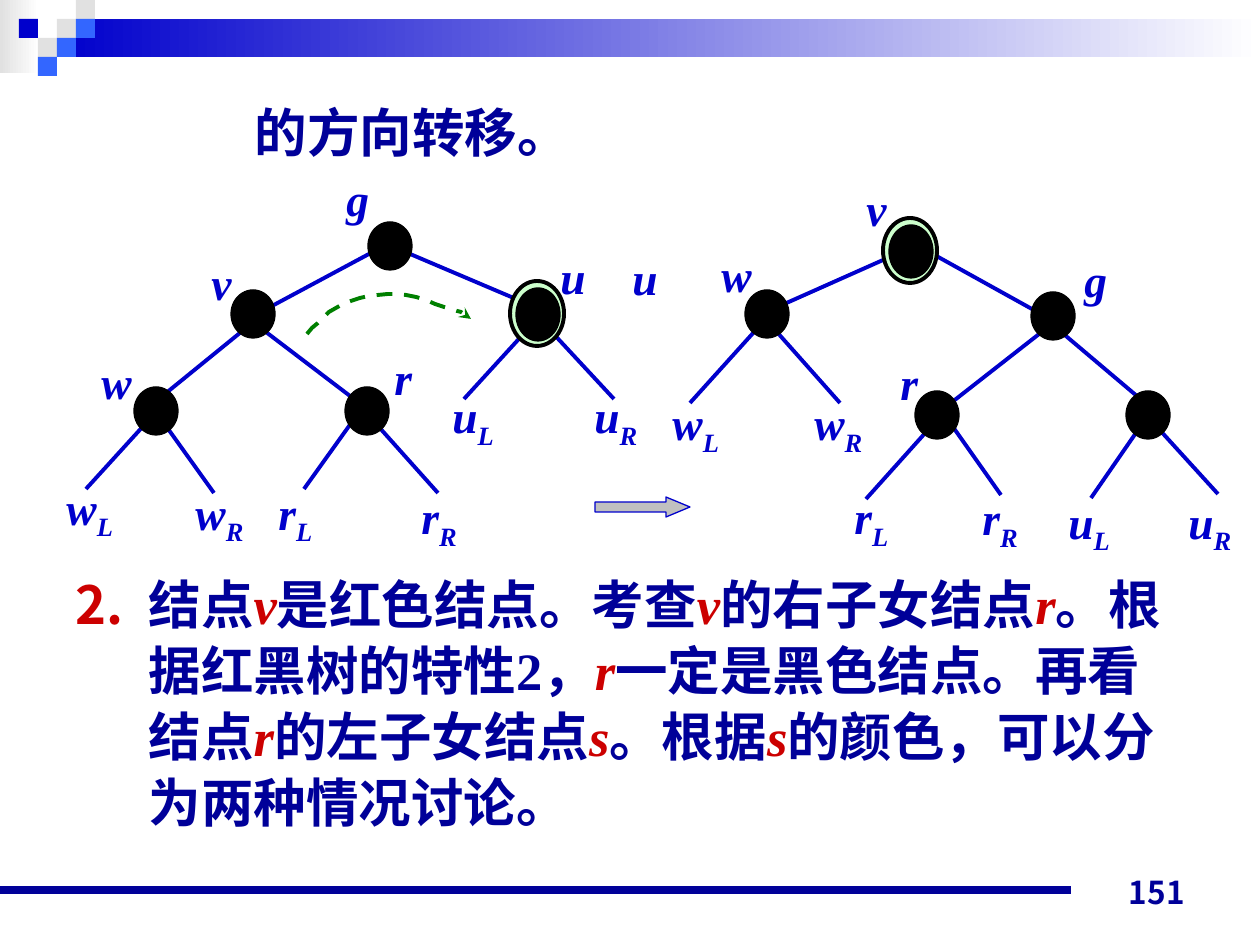
from typing import NamedTuple

from lxml import etree
from pptx import Presentation
from pptx import util as u
from pptx.dml.color import RGBColor
from pptx.enum import dml, shapes, text
from pptx.oxml import ns

SCALE = 914400 / 126  # EMU per px
NAVY = RGBColor(0x00, 0x00, 0x99)
BLUE = RGBColor(0x00, 0x00, 0xCC)
SKY = RGBColor(0x33, 0x66, 0xFF)
GREY = RGBColor(0xE1, 0xE1, 0xE1)
SILVER = RGBColor(0xC0, 0xC0, 0xC0)
WHITE = RGBColor(0xFF, 0xFF, 0xFF)
BLACK = RGBColor(0x00, 0x00, 0x00)
MINT = RGBColor(0xCC, 0xFF, 0xCC)
RED = RGBColor(0xCC, 0x00, 0x00)
GREEN = RGBColor(0x00, 0x80, 0x00)
SERIF, SANS = "Times New Roman", "Noto Sans CJK JP"


class Label(NamedTuple):
    x: int
    y: int
    letter: str
    subscript: str = ""


class Edge(NamedTuple):
    x1: int
    y1: int
    x2: int
    y2: int


class Tree(NamedTuple):
    nodes: list[tuple[int, int]]
    ringed_node: tuple[int, int]
    edges: list[Edge]
    labels: list[Label]


BEFORE = Tree(
    nodes=[(368, 222), (231, 290), (345, 387), (134, 387)],
    ringed_node=(510, 281),
    edges=[
        Edge(403, 251, 523, 302), Edge(528, 329, 464, 399), Edge(549, 329, 614, 399),
        Edge(378, 426, 438, 493), Edge(262, 329, 354, 399), Edge(382, 247, 272, 306),
        Edge(246, 328, 160, 398), Edge(352, 422, 304, 489), Edge(166, 426, 214, 493),
        Edge(147, 422, 86, 489),
    ],
    labels=[
        Label(334, 165, "g"), Label(199, 249, "v"), Label(548, 243, "u"),
        Label(89, 348, "w"), Label(382, 344, "r"),
        Label(440, 382, "u", "L"), Label(582, 382, "u", "R"),
        Label(54, 474, "w", "L"), Label(183, 479, "w", "R"),
        Label(266, 479, "r", "L"), Label(409, 483, "r", "R"),
    ],
)
AFTER = Tree(
    nodes=[(745, 290), (1031, 292), (915, 391), (1126, 391)],
    ringed_node=(883, 218),
    edges=[
        Edge(901, 252, 782, 305), Edge(776, 331, 840, 403), Edge(755, 331, 690, 403),
        Edge(927, 431, 866, 499), Edge(1043, 331, 951, 403), Edge(922, 248, 1032, 309),
        Edge(1060, 331, 1144, 402), Edge(953, 427, 1001, 495), Edge(1138, 430, 1091, 498),
        Edge(1157, 427, 1218, 494),
    ],
    labels=[
        Label(1072, 246, "g"), Label(854, 175, "v"), Label(620, 244, "u"),
        Label(709, 241, "w"), Label(888, 349, "r"),
        Label(660, 389, "w", "L"), Label(802, 389, "w", "R"),
        Label(842, 483, "r", "L"), Label(970, 484, "r", "R"),
        Label(1056, 488, "u", "L"), Label(1176, 488, "u", "R"),
    ],
)
# Column, row and colour of each 19 px square in the corner ornament
SQUARES = [(3, 1, GREY), (4, 0, GREY), (4, 1, SKY), (2, 2, GREY),
           (1, 1, BLUE), (3, 2, SKY), (2, 3, SKY)]
# Control points of joined cubic curves
ROTATION_CURVE = [(307, 334), (318, 323), (328, 310), (343, 304), (358, 297),
                  (379, 294), (397, 294), (415, 295), (438, 305), (451, 309),
                  (464, 312), (467, 317), (471, 319)]
# Asterisks enclose node names
CASE_TEXT = ("结点*v*是红色结点。考查*v*的右子女结点*r*。根据红黑树的特性2，*r*一定是黑色结点。"
             "再看结点*r*的左子女结点*s*。根据*s*的颜色，可以分为两种情况讨论。")


def px(*lengths: int) -> list[u.Emu]:
    return [u.Emu(round(length * SCALE)) for length in lengths]


def set_font(font, name: str, size: int, color: RGBColor, italic: bool = False) -> None:
    font.name, font.size, font.bold, font.italic = name, u.Pt(size), True, italic
    font.color.rgb = color


def add_shape(slide, kind, x: int, y: int, width: int, height: int,
              fill: RGBColor, line: RGBColor | None = None, weight: float = 0.75):
    shape = slide.shapes.add_shape(kind, *px(x, y, width, height))
    shape.shadow.inherit = False
    shape.fill.solid()
    shape.fill.fore_color.rgb = fill
    if line is None:
        shape.line.fill.background()
    else:
        shape.line.color.rgb = line
        shape.line.width = u.Pt(weight)
    return shape


def add_fading_bar(slide, x: int, y: int, width: int, height: int, color: RGBColor) -> None:
    fill = add_shape(slide, shapes.MSO_SHAPE.RECTANGLE, x, y, width, height, color).fill
    fill.gradient()
    fill.gradient_angle = 0
    for stop, position, stop_color in zip(fill.gradient_stops, (0, 1), (color, WHITE)):
        stop.position, stop.color.rgb = position, stop_color


def add_line(slide, edge: Edge, color: RGBColor, weight: float) -> None:
    line = slide.shapes.add_connector(shapes.MSO_CONNECTOR.STRAIGHT, *px(*edge))
    line.line.color.rgb = color
    line.line.width = u.Pt(weight)
    etree.SubElement(line._element.spPr, ns.qn("a:effectLst"))


def add_label(slide, label: Label) -> None:
    box = slide.shapes.add_textbox(*px(label.x, label.y, 74, 60))
    paragraph = box.text_frame.paragraphs[0]
    paragraph.add_run().text = label.letter
    if label.subscript:
        run = paragraph.add_run()
        run.text = label.subscript
        run.font._element.set("baseline", "-25000")
    set_font(paragraph.font, SERIF, 26, BLUE, italic=True)


def add_tree(slide, tree: Tree) -> None:
    oval = shapes.MSO_SHAPE.OVAL
    for edge in tree.edges:
        add_line(slide, edge, BLUE, 2.25)
    for x, y in tree.nodes:
        add_shape(slide, oval, x, y, 44, 48, BLACK, BLACK)
    x, y = tree.ringed_node
    add_shape(slide, oval, x, y, 54, 65, MINT, BLACK, 2.25)
    add_shape(slide, oval, x + 6, y + 7, 44, 53, BLACK, BLACK)
    for label in tree.labels:
        add_label(slide, label)


def curve_points(controls: list[tuple[int, int]], steps: int = 6) -> list[tuple[float, float]]:
    """Sample joined cubic curves, leaving out the starting point."""
    points = []
    for first in range(0, len(controls) - 1, 3):
        for step in range(1, steps + 1):
            t = step / steps
            weights = ((1 - t) ** 3, 3 * t * (1 - t) ** 2, 3 * t * t * (1 - t), t ** 3)
            points.append(tuple(sum(w * c for w, c in zip(weights, axis))
                                for axis in zip(*controls[first:first + 4])))
    return points


def add_rotation_arrow(slide) -> None:
    builder = slide.shapes.build_freeform(*ROTATION_CURVE[0], scale=SCALE)
    builder.add_line_segments(curve_points(ROTATION_CURVE), close=False)
    arrow = builder.convert_to_shape()
    arrow.shadow.inherit = False
    arrow.fill.background()
    arrow.line.color.rgb = GREEN
    arrow.line.width = u.Pt(2.25)
    arrow.line.dash_style = dml.MSO_LINE.DASH
    etree.SubElement(arrow.line._get_or_add_ln(), ns.qn("a:tailEnd"), type="stealth")


def set_indent(paragraph, left: int, first: int):
    properties = paragraph._p.get_or_add_pPr()
    properties.set("marL", str(px(left)[0]))
    properties.set("indent", str(px(first)[0]))
    return properties


def fill_body(body) -> None:
    body.left, body.top, body.width, body.height = px(63, 91, 1134, 780)
    frame = body.text_frame
    frame.auto_size = text.MSO_AUTO_SIZE.NONE
    ending, case = frame.paragraphs[0], frame.add_paragraph()
    etree.SubElement(set_indent(ending, 179, 0), ns.qn("a:buNone"))
    ending.text = "的方向转移。"

    properties = set_indent(case, 73, -73)
    bullet_color = etree.SubElement(properties, ns.qn("a:buClr"))
    etree.SubElement(bullet_color, ns.qn("a:srgbClr"), val=str(RED))
    etree.SubElement(properties, ns.qn("a:buFont"), typeface=SANS)
    etree.SubElement(properties, ns.qn("a:buAutoNum"), type="arabicPeriod", startAt="2")
    for index, part in enumerate(CASE_TEXT.split("*")):
        run = case.add_run()
        run.text = part
        if index % 2:
            run.font.italic = True
            run.font.color.rgb = RED
    for paragraph, space in ((ending, 0), (case, 232)):
        paragraph.line_spacing = u.Pt(37.7)
        paragraph.space_before = u.Pt(space)
        set_font(paragraph.font, SERIF, 30, NAVY)


def add_page_number(slide) -> None:
    frame = slide.shapes.add_textbox(*px(903, 854, 294, 63)).text_frame
    frame.vertical_anchor = text.MSO_ANCHOR.BOTTOM
    frame.word_wrap = True
    paragraph = frame.paragraphs[0]
    paragraph.text = "151"
    paragraph.alignment = text.PP_ALIGN.RIGHT
    set_font(paragraph.font, SANS, 18, NAVY)


def main() -> None:
    presentation = Presentation()
    presentation.slide_width, presentation.slide_height = px(1260, 945)
    slide = presentation.slides.add_slide(presentation.slide_layouts[1])
    title, body = slide.placeholders
    title._element.getparent().remove(title._element)
    add_fading_bar(slide, 0, 0, 39, 73, GREY)
    add_fading_bar(slide, 57, 19, 1203, 38, BLUE)
    for column, row, color in SQUARES:
        add_shape(slide, shapes.MSO_SHAPE.RECTANGLE, 19 * column, 19 * row, 19, 19, color)
    add_line(slide, Edge(0, 890, 1071, 890), NAVY, 4.5)
    add_page_number(slide)
    fill_body(body)
    add_tree(slide, BEFORE)
    arrow = add_shape(slide, shapes.MSO_SHAPE.RIGHT_ARROW, 595, 497, 95, 20, SILVER, BLUE)
    arrow.adjustments[1] = 1.2
    add_tree(slide, AFTER)
    add_rotation_arrow(slide)
    presentation.save("out.pptx")


if __name__ == "__main__":
    main()
